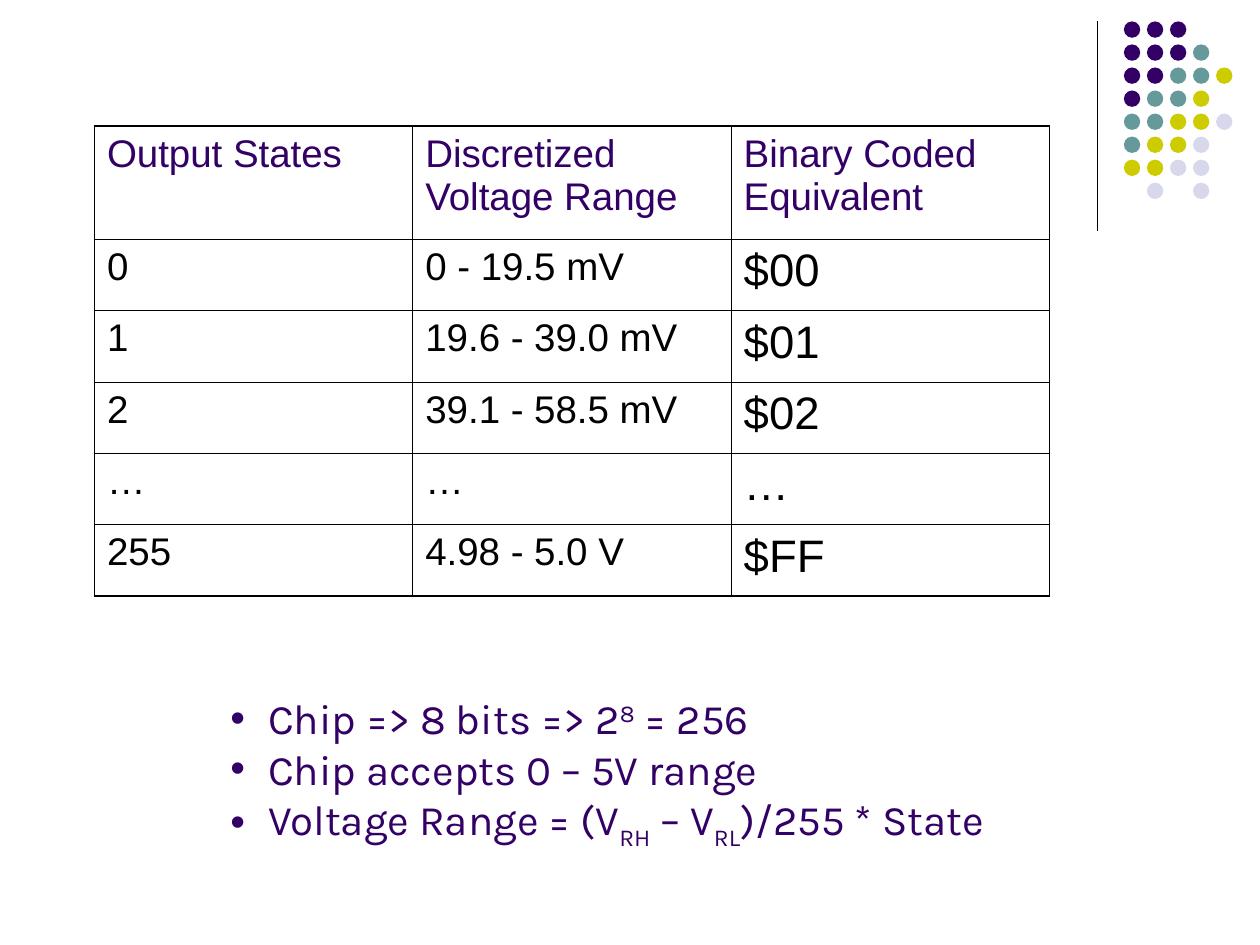
from dataclasses import dataclass

import pptx
import pptx.dml.color
import pptx.enum.shapes
import pptx.enum.text
import pptx.oxml.ns
import pptx.util
from lxml import etree

Inches, Pt = pptx.util.Inches, pptx.util.Pt

COLORS = {
    "purple": "330066",
    "teal": "669999",
    "lime": "CCCC00",
    "lavender": "D8D8EC",
    "black": "000000",
}
DOT_COLORS = {"P": "purple", "T": "teal", "Y": "lime", "L": "lavender"}
DOT_ROWS = ["PPP", "PPPT", "PPTTY", "PTTY", "TTYYL", "TYYL", "YYLL", ".L.L"]
DOT_SIZE = 0.13
DOT_PITCH = 1.28 / 7

TABLE_ROWS = [
    ["Output States", "Discretized Voltage Range", "Binary Coded Equivalent"],
    ["0", "0 - 19.5 mV", "$00"],
    ["1", "19.6 - 39.0 mV", "$01"],
    ["2", "39.1 - 58.5 mV", "$02"],
    ["…", "…", "…"],
    ["255", "4.98 - 5.0 V", "$FF"],
]
OUTER_BORDER, INNER_BORDER = 1.08, 0.45


@dataclass
class Piece:
    text: str
    baseline: int = 0


BULLETS = [
    [Piece("Chip => 8 bits => 2"), Piece("8", 30), Piece(" = 256")],
    [Piece("Chip accepts 0 – 5V range")],
    [Piece("Voltage Range = (V"), Piece("RH", -25), Piece(" – V"),
     Piece("RL", -25), Piece(")/255 * State")],
]


def rgb(name: str) -> pptx.dml.color.RGBColor:
    return pptx.dml.color.RGBColor.from_string(COLORS[name])


def add_node(parent, tag: str, **attributes: str):
    return etree.SubElement(parent, pptx.oxml.ns.qn(tag), attributes)


def style_run(r, font: str, size: float, color: str) -> None:
    r.font.name = font
    r.font.size = Pt(size)
    r.font.color.rgb = rgb(color)


def draw_divider(s) -> None:
    line = s.shapes.add_connector(
        pptx.enum.shapes.MSO_CONNECTOR.STRAIGHT,
        Inches(8.71), Inches(0.17), Inches(8.71), Inches(1.83))
    line.line.color.rgb = rgb("black")
    line.line.width = Pt(0.75)
    add_node(line._element.spPr, "a:effectLst")


def draw_dots(s) -> None:
    group = s.shapes.add_group_shape()
    for row, codes in enumerate(DOT_ROWS):
        for col, code in enumerate(codes):
            if code not in DOT_COLORS:
                continue
            dot = group.shapes.add_shape(
                pptx.enum.shapes.MSO_SHAPE.OVAL,
                Inches(8.92 + col * DOT_PITCH), Inches(0.17 + row * DOT_PITCH),
                Inches(DOT_SIZE), Inches(DOT_SIZE))
            dot.shadow.inherit = False
            dot.fill.solid()
            dot.fill.fore_color.rgb = rgb(DOT_COLORS[code])
            dot.line.fill.background()


def set_borders(cell, outer_sides: dict[str, bool]) -> None:
    """Draw all four borders, heavier on the sides at the table's edge."""
    for side, is_outer in outer_sides.items():
        width = Pt(OUTER_BORDER if is_outer else INNER_BORDER)
        ln = add_node(cell._tc.get_or_add_tcPr(), f"a:{side}", w=str(width))
        fill = add_node(ln, "a:solidFill")
        add_node(fill, "a:srgbClr", val=COLORS["black"])


def draw_table(s) -> None:
    n_rows, n_cols = len(TABLE_ROWS), len(TABLE_ROWS[0])
    table = s.shapes.add_table(n_rows, n_cols, Inches(0.75), Inches(1),
                               Inches(7.58), Inches(3.73)).table
    table.first_row = False
    table.horz_banding = False
    for column in table.columns:
        column.width = Inches(7.58 / n_cols)
    for i, values in enumerate(TABLE_ROWS):
        table.rows[i].height = Inches(0.9 if i == 0 else 0.566)
        for j, value in enumerate(values):
            cell = table.cell(i, j)
            set_borders(cell, {"lnL": j == 0, "lnR": j == n_cols - 1,
                               "lnT": i == 0, "lnB": i == n_rows - 1})
            cell.fill.background()
            cell.text_frame.text = value
            size = 26 if i > 0 and j == n_cols - 1 else 22
            p = cell.text_frame.paragraphs[0]
            p.space_before = Pt(size / 4)
            style_run(p.runs[0], "Arial", size, "black" if i else "purple")


def set_bullet(p) -> None:
    pPr = p._p.get_or_add_pPr()
    pPr.set("marL", str(Inches(0.3)))
    pPr.set("indent", str(-Inches(0.3)))
    add_node(add_node(pPr, "a:buClr"), "a:srgbClr", val=COLORS["purple"])
    add_node(pPr, "a:buFont", typeface="Arial")
    add_node(pPr, "a:buChar", char="•")


def draw_bullets(s) -> None:
    box = s.shapes.add_textbox(Inches(1.73), Inches(5.45), Inches(6.93), Inches(1.36))
    tf = box.text_frame
    tf.word_wrap = True
    tf.auto_size = pptx.enum.text.MSO_AUTO_SIZE.SHAPE_TO_FIT_TEXT
    for i, pieces in enumerate(BULLETS):
        p = tf.add_paragraph() if i else tf.paragraphs[0]
        set_bullet(p)
        for piece in pieces:
            r = p.add_run()
            r.text = piece.text
            style_run(r, "Karla", 24, "purple")
            if piece.baseline:
                r.font._element.set("baseline", str(piece.baseline * 1000))


def main() -> None:
    prs = pptx.Presentation()
    prs.slide_width, prs.slide_height = Inches(10), Inches(7.5)
    s = prs.slides.add_slide(prs.slide_layouts[6])
    draw_divider(s)
    draw_dots(s)
    draw_table(s)
    draw_bullets(s)
    prs.save("out.pptx")


if __name__ == "__main__":
    main()
